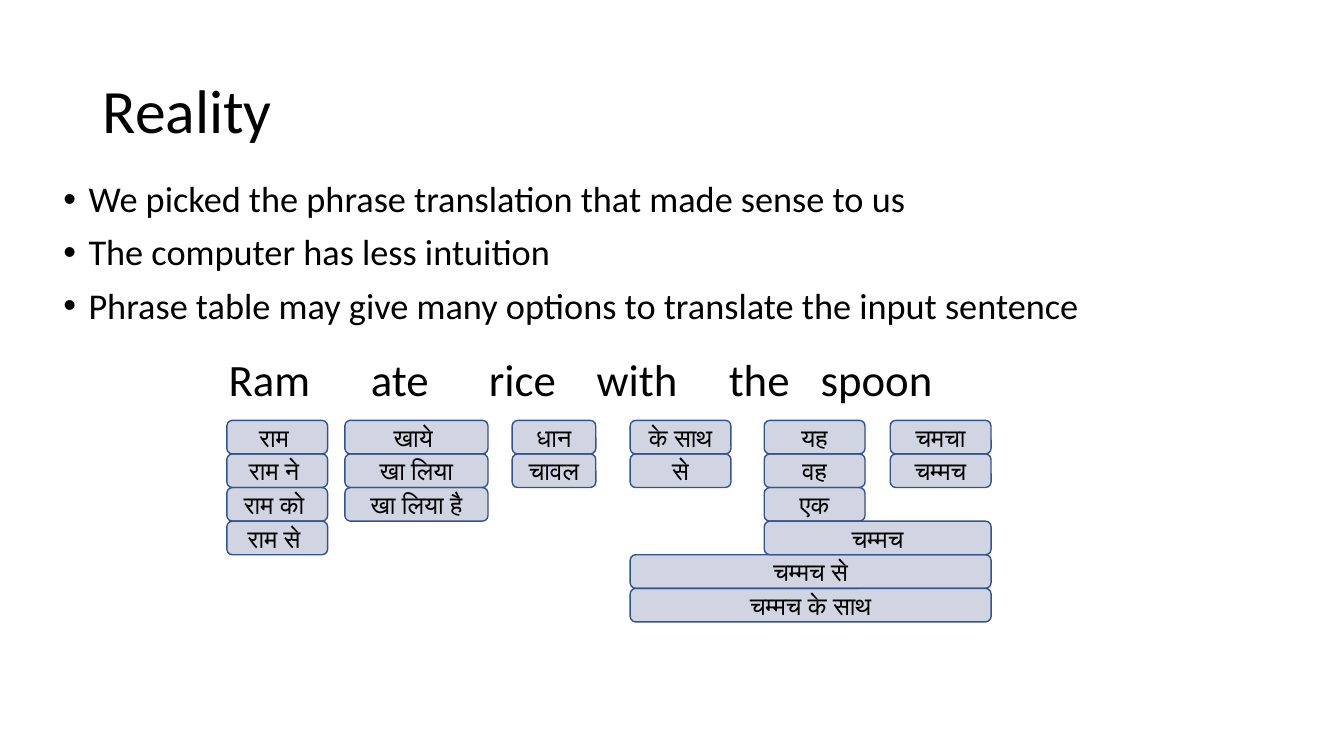
from dataclasses import dataclass

from lxml.etree import SubElement
from pptx import Presentation
from pptx.dml.color import RGBColor
from pptx.enum.shapes import MSO_SHAPE
from pptx.enum.text import MSO_ANCHOR, PP_ALIGN
from pptx.oxml.ns import qn
from pptx.util import Inches, Pt


@dataclass(frozen=True)
class Theme:
    """Colours and type sizes of the slide."""
    font: str = "Calibri"
    text: RGBColor = RGBColor(0, 0, 0)
    option_fill: RGBColor = RGBColor(0x72, 0x7C, 0xA3)
    option_line: RGBColor = RGBColor(0x32, 0x54, 0x91)
    option_opacity: int = 32000
    title_size: float = 44
    bullet_size: float = 25.9
    sentence_size: float = 32
    option_size: float = 18


THEME = Theme()
BULLETS = [
    "We picked the phrase translation that made sense to us",
    "The computer has less intuition",
    "Phrase table may give many options to translate the input sentence",
]
WORDS = ["Ram", "ate", "rice", "with", "the", "spoon"]
WORD_STOPS = [1.41, 2.58, 3.65, 4.96, 5.87]
ROW_HEIGHT = 1 / 3
PHRASE_OPTIONS = [
    (0, 1, 0, ["राम ", "राम ने ", "राम को ", "राम से "]),
    (1.17, 1.42, 0, ["खाये ", "खा लिया", "खा लिया है"]),
    (2.83, 0.83, 0, ["धान", "चावल"]),
    (4, 1, 0, ["के साथ", "से"]),
    (5.33, 1, 0, ["यह", "वह", "एक"]),
    (6.58, 1, 0, ["चमचा", "चम्मच"]),
    (5.33, 2.25, 3, ["चम्मच"]),
    (4, 3.58, 4, ["चम्मच से", "चम्मच के साथ"]),
]


def write_text(shape, lines, size, align=PP_ALIGN.LEFT, anchor=MSO_ANCHOR.TOP,
               line_spacing=None, space_before=0, bullet=None, tab_stops=()):
    """Fill a shape with one formatted paragraph per line."""
    frame = shape.text_frame
    frame.word_wrap = True
    frame.vertical_anchor = anchor
    for index, line in enumerate(lines):
        paragraph = frame.paragraphs[0] if index == 0 else frame.add_paragraph()
        paragraph.alignment = align
        paragraph.line_spacing = line_spacing
        paragraph.space_before = Pt(space_before)
        run = paragraph.add_run()
        run.text = line
        run.font.name = THEME.font
        run.font.size = Pt(size)
        run.font.color.rgb = THEME.text
        properties = paragraph._p.get_or_add_pPr()
        if bullet:
            properties.set("marL", str(Inches(0.25)))
            properties.set("indent", str(-Inches(0.25)))
            SubElement(properties, qn("a:buFont"), typeface="Arial")
            SubElement(properties, qn("a:buChar"), char=bullet)
        if tab_stops:
            tab_list = SubElement(properties, qn("a:tabLst"))
            for stop in tab_stops:
                SubElement(tab_list, qn("a:tab"), pos=str(Inches(stop)), algn="l")


def add_text_box(slide, left, top, width, height):
    """Add an empty text box at a place given in inches."""
    return slide.shapes.add_textbox(Inches(left), Inches(top), Inches(width), Inches(height))


def add_title(slide, left, top, width, height):
    """Place the slide title."""
    box = add_text_box(slide, left, top, width, height)
    write_text(box, ["Reality"], THEME.title_size, anchor=MSO_ANCHOR.MIDDLE, line_spacing=0.9)


def add_bullets(slide, left, top, width, height):
    """Place the bulleted statements."""
    box = add_text_box(slide, left, top, width, height)
    write_text(box, BULLETS, THEME.bullet_size, line_spacing=0.9, space_before=10, bullet="•")


def add_sentence(slide, left, top, width, height):
    """Place the input sentence with its words on tab stops."""
    box = add_text_box(slide, left, top, width, height)
    write_text(box, ["\t".join(WORDS)], THEME.sentence_size, tab_stops=WORD_STOPS)


def add_option(slide, left, top, width, height, label):
    """Place one translation option."""
    shape = slide.shapes.add_shape(MSO_SHAPE.ROUNDED_RECTANGLE, Inches(left), Inches(top),
                                   Inches(width), Inches(height))
    shape.shadow.inherit = False
    shape.fill.solid()
    shape.fill.fore_color.rgb = THEME.option_fill
    color = shape._element.spPr.find(qn("a:solidFill")).find(qn("a:srgbClr"))
    SubElement(color, qn("a:alpha"), val=str(THEME.option_opacity))
    shape.line.color.rgb = THEME.option_line
    shape.line.width = Pt(1)
    write_text(shape, [label], THEME.option_size, align=PP_ALIGN.CENTER, anchor=MSO_ANCHOR.MIDDLE)


def add_phrase_table(slide, left, top):
    """Stack the translation options below the words they cover."""
    for offset, width, first_row, labels in PHRASE_OPTIONS:
        for row, label in enumerate(labels, first_row):
            add_option(slide, left + offset, top + row * ROW_HEIGHT, width, ROW_HEIGHT, label)


def main():
    """Build and save the presentation."""
    presentation = Presentation()
    presentation.slide_width = Inches(13.33)
    presentation.slide_height = Inches(7.5)
    slide = presentation.slides.add_slide(presentation.slide_layouts[6])
    add_title(slide, 0.92, 0.4, 11.5, 1.45)
    add_bullets(slide, 0.53, 1.75, 10.63, 1.83)
    add_sentence(slide, 2.17, 3.44, 8.83, 0.64)
    add_phrase_table(slide, 2.25, 4.17)
    presentation.save("out.pptx")


if __name__ == "__main__":
    main()
